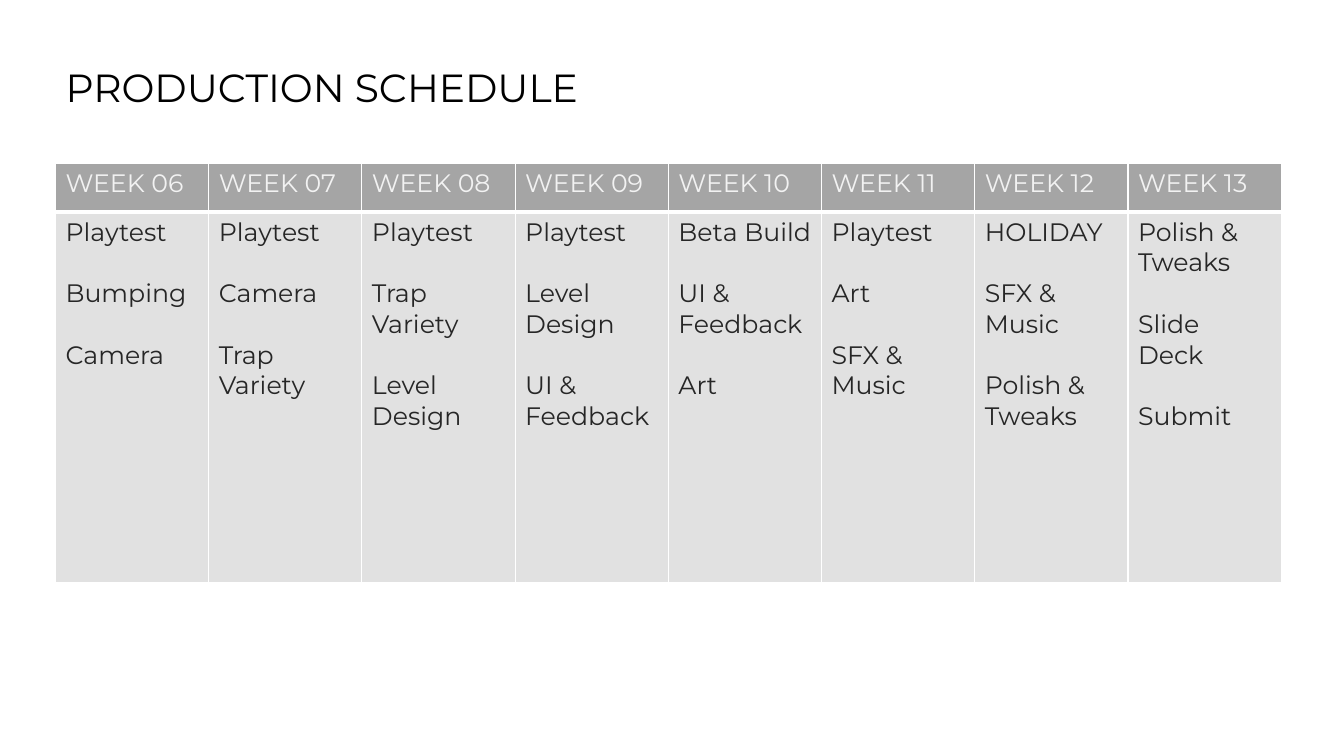
"""Build the production schedule slide."""
from lxml import etree
from pptx import Presentation
from pptx import util as u
from pptx.dml.color import RGBColor
from pptx.enum import text
from pptx.oxml.ns import qn

BLACK = RGBColor(0x00, 0x00, 0x00)
INK = RGBColor(0x26, 0x26, 0x26)
PALE = RGBColor(0xF2, 0xF2, 0xF2)
HEADER_GREY = RGBColor(0xA5, 0xA5, 0xA5)
BODY_GREY = RGBColor(0xE1, 0xE1, 0xE1)
WHITE = RGBColor(0xFF, 0xFF, 0xFF)

FONT = "Montserrat"
FIRST_WEEK = 6
TASKS = [
    ["Playtest", "Bumping", "Camera"],
    ["Playtest", "Camera", "Trap Variety"],
    ["Playtest", "Trap Variety", "Level Design"],
    ["Playtest", "Level Design", "UI & Feedback"],
    ["Beta Build", "UI & Feedback", "Art"],
    ["Playtest", "Art", "SFX & Music"],
    ["HOLIDAY", "SFX & Music", "Polish & Tweaks"],
    ["Polish & Tweaks", "Slide\vDeck", "Submit"],
]


def write(frame, lines, size=18, color=INK, gap=0, spacing=None):
    """Fill a text frame with one paragraph per line."""
    for index, line in enumerate(lines):
        para = frame.add_paragraph() if index else frame.paragraphs[0]
        para.text = line
        para.alignment = text.PP_ALIGN.LEFT
        para.line_spacing = spacing
        para.space_before = u.Pt(gap if index else 0)
        for span in para.runs:
            span.font.name = FONT
            span.font.size = u.Pt(size)
            span.font.color.rgb = color


def add_border(cell, side, width):
    """Draw one white edge of a cell."""
    edge = etree.SubElement(cell._tc.get_or_add_tcPr(), qn(f"a:ln{side}"), w=str(u.Pt(width)))
    fill = etree.SubElement(edge, qn("a:solidFill"))
    etree.SubElement(fill, qn("a:srgbClr"), val=str(WHITE))


def style_cell(cell, color, top, bottom):
    """Give a cell its borders and fill."""
    for side, width in {"L": 1, "R": 1, "T": top, "B": bottom}.items():
        add_border(cell, side, width)
    cell.fill.solid()
    cell.fill.fore_color.rgb = color


def add_title(slide, title):
    """Place and format the title."""
    box = slide.shapes.title
    box.left, box.top = u.Inches(0.55), u.Inches(0.63)
    box.width, box.height = u.Inches(7.39), u.Inches(0.83)
    box.text_frame.vertical_anchor = text.MSO_ANCHOR.TOP
    write(box.text_frame, [title], size=28, color=BLACK, spacing=0.9)


def add_schedule(slide):
    """Add the table with one column per week."""
    frame = slide.shapes.add_table(
        2, len(TASKS), u.Inches(0.55), u.Inches(1.62), u.Inches(12.16), u.Inches(4.16))
    table = frame.table
    for row, height in zip(table.rows, (0.48, 3.68)):
        row.height = u.Inches(height)
    for column, tasks in enumerate(TASKS):
        header, body = table.cell(0, column), table.cell(1, column)
        style_cell(header, HEADER_GREY, top=1, bottom=3)
        style_cell(body, BODY_GREY, top=3, bottom=1)
        write(header.text_frame, [f"WEEK {FIRST_WEEK + column:02}"], color=PALE)
        write(body.text_frame, tasks, gap=22)


def main():
    """Create and save the deck."""
    deck = Presentation()
    deck.slide_width, deck.slide_height = u.Inches(13.33), u.Inches(7.5)
    slide = deck.slides.add_slide(deck.slide_layouts[5])
    add_title(slide, "PRODUCTION SCHEDULE")
    add_schedule(slide)
    deck.save("out.pptx")


if __name__ == "__main__":
    main()
